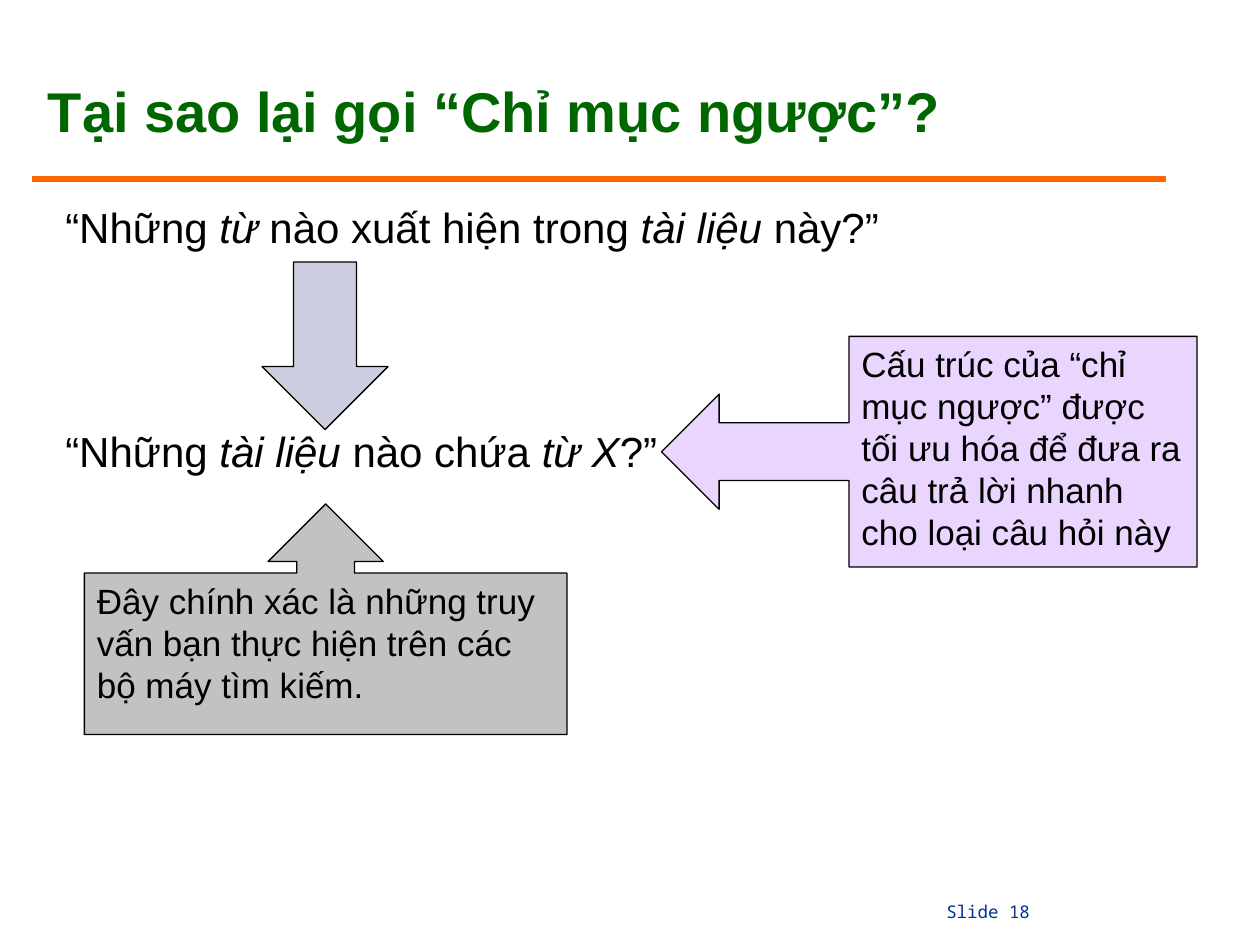
from dataclasses import dataclass

import lxml.etree
import pptx
import pptx.dml.color
import pptx.enum.shapes
import pptx.enum.text
import pptx.oxml.ns
import pptx.util

Inches = pptx.util.Inches
Pt = pptx.util.Pt
Shapes = pptx.enum.shapes.MSO_SHAPE


@dataclass(frozen=True)
class Theme:
    """Colours, fonts and type sizes of the slide."""
    title: str = "006600"
    rule: str = "FF6600"
    ink: str = "000000"
    footer: str = "003399"
    blue: str = "CCCEDF"
    grey: str = "C2C2C2"
    lilac: str = "EAD5FF"
    font: str = "Arial"
    footer_font: str = "Noto Sans Mono"
    title_size: int = 32
    question_size: int = 24
    note_size: int = 20
    footer_size: int = 10


THEME = Theme()


def rgb(color):
    """Return the colour object of a hex string."""
    return pptx.dml.color.RGBColor.from_string(color)


def add_run(paragraph, text, size, color=THEME.ink, font=THEME.font, bold=False, italic=False):
    """Add one styled run to a paragraph."""
    run = paragraph.add_run()
    run.text = text
    run.font.name = font
    run.font.size = Pt(size)
    run.font.bold = bold
    run.font.italic = italic
    run.font.color.rgb = rgb(color)


def set_frame(shape, side=0.1, top=0.05):
    """Set wrapping, top anchor and margins, and return the text frame."""
    frame = shape.text_frame
    frame.word_wrap = True
    frame.vertical_anchor = pptx.enum.text.MSO_ANCHOR.TOP
    frame.margin_left = frame.margin_right = Inches(side)
    frame.margin_top = frame.margin_bottom = Inches(top)
    return frame


def add_text_area(slide, box, side=0.1, top=0.05):
    """Add an empty text box and return its text frame."""
    return set_frame(slide.shapes.add_textbox(*map(Inches, box)), side, top)


def add_title(slide, box, text):
    """Place the heading."""
    paragraph = add_text_area(slide, box, 0.05, 0).paragraphs[0]
    paragraph.line_spacing = 0.9
    add_run(paragraph, text, THEME.title_size, THEME.title, bold=True)


def add_rule(slide, left, top, width):
    """Draw the horizontal rule under the heading."""
    rule = slide.shapes.add_connector(
        pptx.enum.shapes.MSO_CONNECTOR.STRAIGHT,
        Inches(left), Inches(top), Inches(left + width), Inches(top))
    rule.line.color.rgb = rgb(THEME.rule)
    rule.line.width = Pt(3)
    properties = rule._element.spPr
    lxml.etree.SubElement(properties, pptx.oxml.ns.qn("a:effectLst"))


def add_questions(slide, box, questions, gap):
    """Place the questions, whose runs alternate between upright and italic."""
    frame = add_text_area(slide, box)
    for index, parts in enumerate(questions):
        paragraph = frame.add_paragraph() if index else frame.paragraphs[0]
        paragraph.line_spacing = 0.95
        if index:
            paragraph.space_before = Pt(gap)
        for position, text in enumerate(parts):
            add_run(paragraph, text, THEME.question_size, italic=position % 2 == 1)


def add_arrow(slide, kind, box, fill, adjustments, text=""):
    """Place a block arrow or an arrow callout with its note."""
    shape = slide.shapes.add_shape(kind, *map(Inches, box))
    shape.shadow.inherit = False
    shape.fill.solid()
    shape.fill.fore_color.rgb = rgb(fill)
    shape.line.color.rgb = rgb(THEME.ink)
    shape.line.width = Pt(0.75)
    for index, value in enumerate(adjustments):
        shape.adjustments[index] = value
    if text:
        paragraph = set_frame(shape).paragraphs[0]
        paragraph.alignment = pptx.enum.text.PP_ALIGN.LEFT
        add_run(paragraph, text, THEME.note_size)


def add_footer(slide, box, text):
    """Place the slide number."""
    paragraph = add_text_area(slide, box, 0.09, 0).paragraphs[0]
    add_run(paragraph, text, THEME.footer_size, THEME.footer, THEME.footer_font)


def main():
    """Build the slide and save it."""
    presentation = pptx.Presentation()
    presentation.slide_width = Inches(10)
    presentation.slide_height = Inches(7.5)
    slide = presentation.slides.add_slide(presentation.slide_layouts[6])
    add_footer(slide, (7.42, 7.15, 2.58, 0.19), "Slide 18")
    add_rule(slide, 0.25, 1.42, 9)
    add_title(slide, (0.33, 0.67, 8.92, 0.48), "Tại sao lại gọi “Chỉ mục ngược”?")
    questions = [
        ("“Những ", "từ", " nào xuất hiện trong ", "tài liệu ", "này?”"),
        ("“Những ", "tài liệu ", "nào chứa ", "từ X", "?”"),
    ]
    add_questions(slide, (0.42, 1.58, 8.83, 5.17), questions, 100.5)
    add_arrow(slide, Shapes.DOWN_ARROW, (2.08, 2.08, 1, 1.33), THEME.blue, (0.5, 0.5))
    add_arrow(slide, Shapes.UP_ARROW_CALLOUT, (0.67, 4, 3.83, 1.83), THEME.grey,
              (0.25, 0.25, 0.25, 0.7),
              "Đây chính xác là những truy vấn bạn thực hiện trên các bộ máy tìm kiếm.")
    add_arrow(slide, Shapes.LEFT_ARROW_CALLOUT, (5.25, 2.67, 4.25, 1.83), THEME.lilac,
              (0.25, 0.25, 0.25, 0.65),
              "Cấu trúc của “chỉ mục ngược” được tối ưu hóa để đưa ra "
              "câu trả lời nhanh cho loại câu hỏi này")
    presentation.save("out.pptx")


if __name__ == "__main__":
    main()
